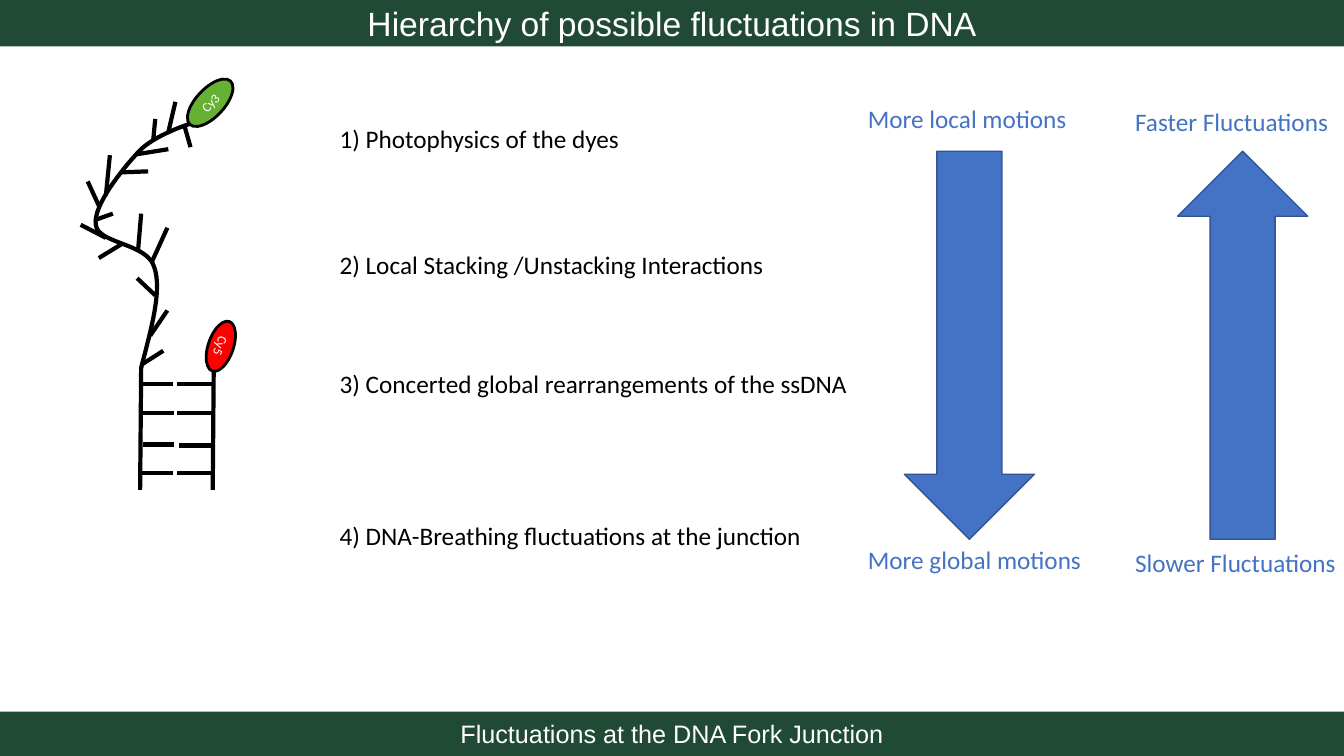
from pptx import Presentation
from pptx.dml.color import RGBColor
from pptx.enum.shapes import MSO_CONNECTOR as LINK, MSO_SHAPE as KIND
from pptx.enum.text import MSO_ANCHOR as ANCHOR, PP_ALIGN as ALIGN
from pptx.oxml.ns import qn
from pptx.util import Pt
from lxml.etree import SubElement

PX = 9144
WHITE = RGBColor(0xFF, 0xFF, 0xFF)
BLACK = RGBColor(0, 0, 0)
PINE = RGBColor(0x20, 0x4A, 0x36)
GREEN = RGBColor(0x66, 0xB1, 0x32)
RED = RGBColor(0xFF, 0, 0)
BLUE = RGBColor(0x44, 0x72, 0xC4)
NAVY = RGBColor(0x32, 0x54, 0x91)

deck = Presentation()
deck.slide_width, deck.slide_height = 1333 * PX, 750 * PX
slide = deck.slides.add_slide(deck.slide_layouts[6])
shapes = slide.shapes


def add_text(shape, text, size, font, color, align):
    para = shape.text_frame.paragraphs[0]
    para.alignment = align
    run = para.add_run()
    run.text = text
    run.font.size = Pt(size)
    run.font.name = font
    run.font.color.rgb = color


def add_shape(kind, box, fill, edge=None, width=1, turn=0):
    shape = shapes.add_shape(kind, *[n * PX for n in box])
    shape.shadow.inherit = False
    shape.rotation = turn
    shape.fill.solid()
    shape.fill.fore_color.rgb = fill
    if edge is None:
        shape.line.fill.background()
    else:
        shape.line.color.rgb = edge
        shape.line.width = Pt(width)
    frame = shape.text_frame
    frame.vertical_anchor = ANCHOR.MIDDLE
    frame.margin_left = frame.margin_right = 0
    frame.margin_top = frame.margin_bottom = 0
    return shape


bars = [
    (0, 46, "Hierarchy of possible fluctuations in DNA", 24),
    (706, 44, "Fluctuations at the DNA Fork Junction", 18),
]
for top, high, text, size in bars:
    bar = add_shape(KIND.RECTANGLE, (0, top, 1333, high), PINE)
    add_text(bar, text, size, "Arial", WHITE, ALIGN.CENTER)

labels = [
    (327, 117, 403, "1) Photophysics of the dyes", BLACK),
    (327, 242, 454, "2) Local Stacking /Unstacking Interactions", BLACK),
    (327, 361, 529, "3) Concerted global rearrangements of the ssDNA", BLACK),
    (327, 511, 489, "4) DNA-Breathing fluctuations at the junction", BLACK),
    (851, 98, 219, "More local motions", BLUE),
    (851, 535, 238, "More global motions", BLUE),
    (1116, 101, 214, "Faster Fluctuations", BLUE),
    (1116, 538, 221, "Slower Fluctuations", BLUE),
]
for left, top, wide, text, color in labels:
    label = shapes.add_textbox(left * PX, top * PX, wide * PX, 40 * PX)
    label.text_frame.word_wrap = False
    add_text(label, text, 18, "Calibri", color, ALIGN.LEFT)

for left, turn in [(897, 180), (1168, 0)]:
    add_shape(KIND.UP_ARROW, (left, 150, 129, 385), BLUE, NAVY, 1, turn)

start = (140, 365)
curves = [
    [(150, 326), (161, 288), (153, 265)],
    [(146, 241), (97, 242), (95, 223)],
    [(92, 204), (122, 167), (138, 150)],
    [(153, 134), (188, 123), (188, 123)],
]
steps = 16
points = []
last = start
for curve in curves:
    knots = [last] + curve
    for step in range(1, steps + 1):
        t = step / steps
        parts = [(1 - t) ** 3, 3 * t * (1 - t) ** 2, 3 * t * t * (1 - t), t ** 3]
        points.append(tuple(
            PX * sum(part * knot[axis] for part, knot in zip(parts, knots))
            for axis in (0, 1)))
    last = curve[-1]
pen = shapes.build_freeform(start[0] * PX, start[1] * PX)
pen.add_line_segments(points, close=False)
strand = pen.convert_to_shape()
strand.shadow.inherit = False
strand.fill.background()
strand.line.color.rgb = BLACK
strand.line.width = Pt(3)

rails = [(140, 364, 139, 486), (212, 365, 211, 486)]
bases = [
    (162, 348, 140, 362), (166, 308, 149, 333), (136, 276, 154, 293),
    (166, 226, 151, 259), (140, 212, 137, 248), (98, 256, 121, 242),
    (112, 212, 95, 218), (87, 180, 98, 204), (147, 170, 120, 171),
    (167, 148, 136, 153), (167, 131, 174, 101), (183, 125, 189, 146),
    (154, 118, 152, 139), (80, 223, 105, 236), (109, 154, 105, 194),
]
rungs = [
    (140, 381, 172, 381), (176, 381, 210, 381),
    (142, 410, 173, 410), (176, 410, 210, 410),
    (142, 441, 173, 441), (178, 442, 212, 442),
    (140, 469, 172, 469), (176, 469, 210, 469),
]
for ends in rails + bases + rungs:
    line = shapes.add_connector(LINK.STRAIGHT, *[n * PX for n in ends])
    line.line.color.rgb = BLACK
    line.line.width = Pt(3)
    SubElement(line._element.spPr, qn("a:effectLst"))

dyes = [
    ("Cy5", (193, 331, 52, 25), RED, 109),
    ("Cy3", (179, 88, 59, 28), GREEN, 313.1),
]
for text, box, fill, turn in dyes:
    dye = add_shape(KIND.OVAL, box, fill, BLACK, 2, turn)
    add_text(dye, text, 9.4, "Calibri", WHITE, ALIGN.CENTER)

deck.save("out.pptx")
